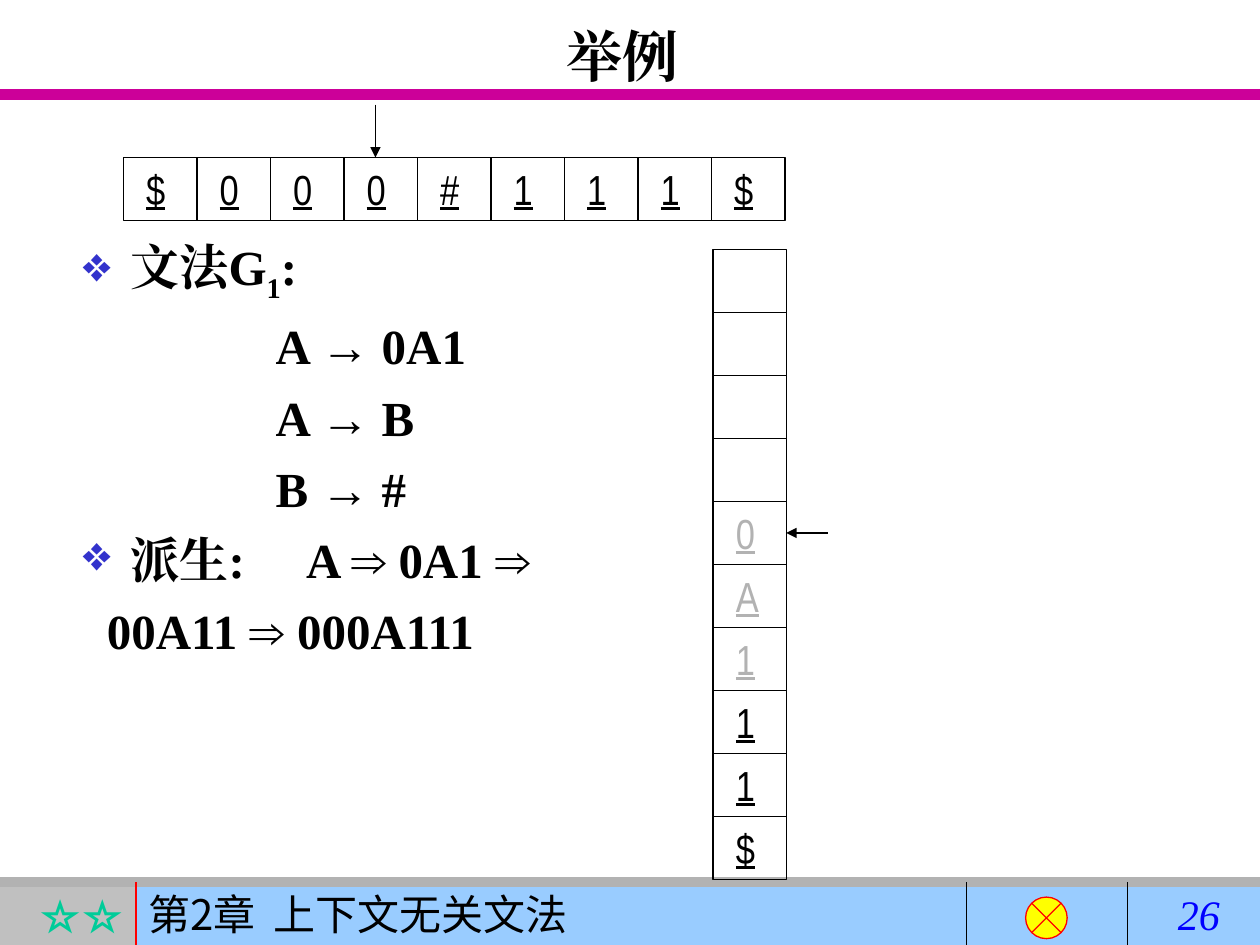
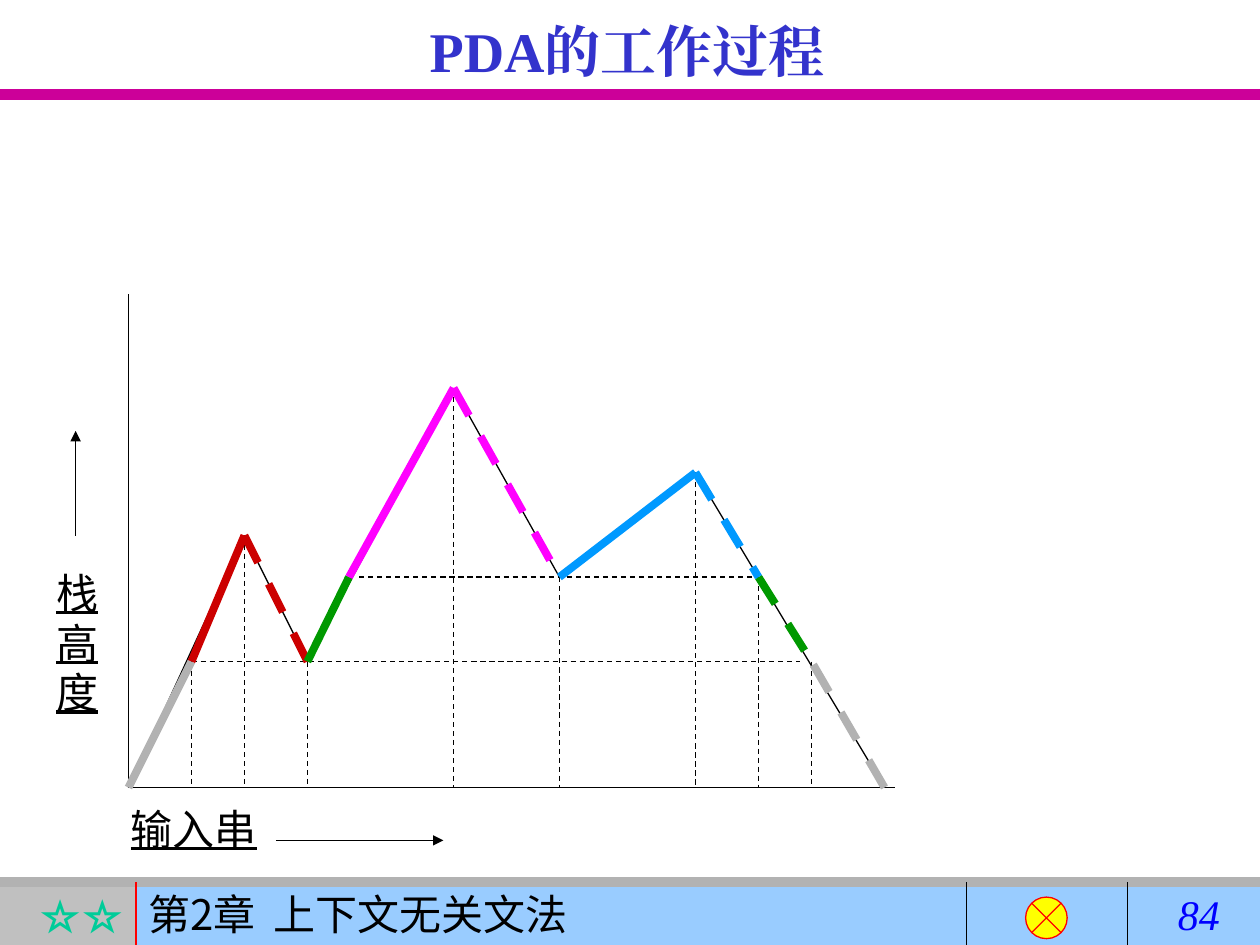
from collections import namedtuple

from lxml import etree
from pptx import Presentation
from pptx.dml.color import RGBColor
from pptx.enum.dml import MSO_LINE
from pptx.enum.shapes import MSO_CONNECTOR, MSO_SHAPE
from pptx.enum.text import MSO_ANCHOR, MSO_AUTO_SIZE, PP_ALIGN
from pptx.oxml.ns import qn
from pptx.util import Inches, Pt

STRAIGHT = MSO_CONNECTOR.STRAIGHT
RECTANGLE, JUNCTION = MSO_SHAPE.RECTANGLE, MSO_SHAPE.FLOWCHART_SUMMING_JUNCTION
TOP, MIDDLE = MSO_ANCHOR.TOP, MSO_ANCHOR.MIDDLE
LEFT, CENTER, RIGHT = PP_ALIGN.LEFT, PP_ALIGN.CENTER, PP_ALIGN.RIGHT
NO_AUTOFIT = MSO_AUTO_SIZE.NONE
DASH = MSO_LINE.DASH
TITLE_ONLY = 5
RIGHT_SIDE = 3

Box = namedtuple("Box", "left top width height")


class Theme:
    serif, narrow, symbol, cjk = "Times New Roman", "Arial Narrow", "Arial", "Noto Sans CJK SC"
    title_size, body_size, label_size = 32, 28, 24
    thin, curve, band = 0.75, 4.5, 6
    black, gray, red, yellow = "000000", "B2B2B2", "FF0000", "FFFF00"
    magenta, indigo, page_blue = "CC0099", "3333CC", "0000FF"
    star_bg, star, chapter_bg = "C0C0C0", "00CC99", "99CCFF"
    crimson, green, sky, pink = "CC0000", "009900", "0099FF", "FF00FF"


# ---- Shared helpers ----
def rgb(code):
    return RGBColor.from_string(code)


def add_run(paragraph, text, face, size, color=Theme.black, bold=False, italic=False,
            underline=False, baseline=None, spread=None):
    run = paragraph.add_run()
    run.text = text
    font = run.font
    font.name, font.size, font.color.rgb = face, Pt(size), rgb(color)
    font.bold, font.italic, font.underline = bold, italic, underline
    properties = font._element
    etree.SubElement(properties, qn("a:ea")).set("typeface", face)
    if baseline is not None:
        properties.set("baseline", str(baseline * 1000))
    if spread is not None:
        properties.set("spc", str(spread * 100))


def setup_frame(frame, anchor=MIDDLE, inset=0.1):
    frame.word_wrap = True
    frame.auto_size = NO_AUTOFIT
    frame.vertical_anchor = anchor
    frame.margin_left, frame.margin_right = Inches(inset), Inches(0.1)
    frame.margin_top = frame.margin_bottom = Inches(0.05)
    return frame


def add_panel(slide, box, fill=None, line=None, kind=RECTANGLE):
    panel = slide.shapes.add_shape(kind, *map(Inches, box))
    panel.shadow.inherit = False
    if fill:
        panel.fill.solid()
        panel.fill.fore_color.rgb = rgb(fill)
    else:
        panel.fill.background()
    if line:
        panel.line.color.rgb = rgb(line)
        panel.line.width = Pt(Theme.thin)
    else:
        panel.line.fill.background()
    return panel


def add_text(slide, box, anchor=MIDDLE):
    label = slide.shapes.add_textbox(*map(Inches, box))
    return setup_frame(label.text_frame, anchor)


def add_line(slide, start, end, color=Theme.black, width=Theme.thin, dashed=False, arrow=False):
    line = slide.shapes.add_connector(STRAIGHT, *map(Inches, (*start, *end)))
    line.line.color.rgb = rgb(color)
    line.line.width = Pt(width)
    if dashed:
        line.line.dash_style = DASH
    if arrow:
        etree.SubElement(line.line._get_or_add_ln(), qn("a:tailEnd")).set("type", "triangle")
    etree.SubElement(line._element.spPr, qn("a:effectLst"))
    return line


# ---- Title and footer shared by both slides ----
def add_title(slide, box, text, color):
    title = slide.shapes.title
    title.left, title.top, title.width, title.height = map(Inches, box)
    paragraph = setup_frame(title.text_frame, TOP).paragraphs[0]
    paragraph.alignment = CENTER
    add_run(paragraph, text, Theme.serif, Theme.title_size, color, bold=True)


def add_footer(slide, box, page):
    left, top, width, height = box
    bottom, split = top + height, left + 1.08

    stars = add_panel(slide, (left, top, 1.08, height), Theme.star_bg)
    paragraph = setup_frame(stars.text_frame).paragraphs[0]
    paragraph.alignment = RIGHT
    add_run(paragraph, "☆☆", Theme.serif, Theme.label_size, Theme.star, bold=True)

    chapter = add_panel(slide, (split, top, width - 1.08, height), Theme.chapter_bg)
    paragraph = setup_frame(chapter.text_frame).paragraphs[0]
    paragraph.alignment = LEFT
    for text, spread in (("第2章", None), (" ", 5), ("上下文无关文法", None)):
        add_run(paragraph, text, Theme.cjk, Theme.label_size, spread=spread)

    add_line(slide, (left, top), (left + width, top), Theme.gray, Theme.band)
    for x, color in ((split, Theme.red), (left + 7.67, Theme.black), (left + 8.95, Theme.black)):
        add_line(slide, (x, top), (x, bottom), color)
    add_panel(slide, (left + 8.14, top + 0.12, 0.33, 0.33), Theme.yellow, Theme.red, JUNCTION)
    number = add_text(slide, (left + 9.25, top, 0.75, height)).paragraphs[0]
    add_run(number, page, Theme.serif, Theme.label_size, Theme.page_blue, italic=True)


def new_slide(deck, title, title_box, title_color, page):
    slide = deck.slides.add_slide(deck.slide_layouts[TITLE_ONLY])
    add_line(slide, (0, 0.75), (10, 0.75), Theme.magenta, Theme.band)
    add_footer(slide, Box(0, 7, 10, 0.5), page)
    add_title(slide, title_box, title, title_color)
    return slide


# ---- Grammar example: tape, productions, stack ----
def add_cell(slide, box, symbol, color=Theme.black):
    cell = add_panel(slide, box, line=Theme.black)
    if symbol:
        paragraph = setup_frame(cell.text_frame, inset=0.18).paragraphs[0]
        paragraph.alignment = LEFT
        add_run(paragraph, symbol, Theme.narrow, Theme.label_size, color, underline=True)
    return cell


def add_tape(slide, box, symbols):
    step = box.width / len(symbols)
    for i, symbol in enumerate(symbols):
        add_cell(slide, (box.left + i * step, box.top, step, box.height), symbol)
    head = box.left + 2
    add_line(slide, (head, box.top - 0.42), (head, box.top), arrow=True)


def add_stack(slide, box, symbols, pending, pointer):
    step = box.height / len(symbols)
    for i, symbol in enumerate(symbols):
        color = Theme.gray if i in pending else Theme.black
        top = box.top + i * step
        cell = add_cell(slide, (box.left, top, box.width, step), symbol, color)
        if i == pointer:
            right, middle = box.left + box.width, top + step / 2
            arrow = add_line(slide, (right + 0.33, middle), (right, middle), arrow=True)
            arrow.end_connect(cell, RIGHT_SIDE)


def set_indent(paragraph, margin, bullet):
    properties = paragraph._p.get_or_add_pPr()
    properties.set("marL", str(Inches(margin)))
    properties.set("indent", str(-Inches(margin) if bullet else 0))
    if bullet:
        color = etree.SubElement(properties, qn("a:buClr"))
        etree.SubElement(color, qn("a:srgbClr")).set("val", Theme.indigo)
        etree.SubElement(properties, qn("a:buChar")).set("char", "❖")


def add_grammar(slide, box):
    arrow, derives = ("→", {"face": Theme.symbol}), ("⇒", {"face": Theme.symbol})
    wide_gap = (" ", {"spread": 28})
    # Left margin, bullet, runs
    lines = [
        (0.38, True, ["文法G", ("1", {"baseline": -25}), ":"]),
        (1.53, False, ["A ", arrow, " 0A1"]),
        (1.53, False, ["A ", arrow, " B"]),
        (1.53, False, ["B ", arrow, " #"]),
        (0.38, True, ["派生:", wide_gap, "A ", derives, " 0A1 ", derives]),
        (0.19, False, ["00A11 ", derives, " 000A111"]),
    ]
    frame = add_text(slide, box, TOP)
    for i, (margin, bullet, runs) in enumerate(lines):
        paragraph = frame.add_paragraph() if i else frame.paragraphs[0]
        set_indent(paragraph, margin, bullet)
        if i:
            paragraph.space_before = Pt(7)
        for part in runs:
            text, style = (part, {}) if isinstance(part, str) else part
            add_run(paragraph, text, **{"face": Theme.serif, "size": Theme.body_size,
                                        "bold": True, **style})


def build_example(deck):
    slide = new_slide(deck, "举例", Box(0.69, 0.12, 8.5, 1.25), Theme.black, "26")
    add_grammar(slide, Box(0.56, 1.83, 4.92, 5.08))
    add_tape(slide, Box(0.98, 1.25, 5.25, 0.5), "$000#111$")
    add_stack(slide, Box(5.66, 1.98, 0.58, 5), [""] * 4 + list("0A111$"),
              pending=(4, 5, 6), pointer=4)


# ---- PDA run: stack height against input ----
def add_height_graph(slide, box):
    base = box.top + box.height
    # Offset along the input and stack height of each turning point
    track = [(0, 0), (0.5, 1), (0.92, 2), (1.42, 1), (1.75, 1.67), (2.58, 3.17),
             (3.42, 1.67), (4.5, 2.5), (5, 1.67), (5.42, 1), (6, 0)]

    def at(offset, height):
        return box.left + offset, base - height

    # Axes
    add_line(slide, at(0, 0), at(box.width, 0))
    add_line(slide, at(0, 0), at(0, box.height))

    # Thin outline
    corners = [track[i] for i in (0, 2, 3, 5, 6, 7, 10)]
    for start, end in zip(corners, corners[1:]):
        add_line(slide, at(*start), at(*end))

    # Drop lines and levels
    for i in (1, 2, 3, 5, 6, 7, 8, 9):
        offset, height = track[i]
        add_line(slide, at(offset, height), at(offset, 0), dashed=True)
    for height, first, last in ((1, 0.5, 5.33), (1.67, 1.83, 5)):
        add_line(slide, at(first, height), at(last, height), dashed=True)

    # Pushes are solid, pops are dashed
    segments = [
        (1, 0, Theme.gray, False), (10, 9, Theme.gray, True),
        (2, 1, Theme.crimson, False), (3, 2, Theme.crimson, True),
        (4, 3, Theme.green, False), (8, 9, Theme.green, True),
        (7, 8, Theme.sky, True), (7, 6, Theme.sky, False),
        (5, 6, Theme.pink, True), (5, 4, Theme.pink, False),
    ]
    for start, end, color, dashed in segments:
        add_line(slide, at(*track[start]), at(*track[end]), color, Theme.curve, dashed)

    # Axis labels and direction arrows
    labels = [("输入串", (box.left - 0.08, base + 0.08, 1.42, 0.5)),
              ("栈高度", (box.left - 0.67, base - 1.8, 0.5, 1.3))]
    for text, place in labels:
        paragraph = add_text(slide, place).paragraphs[0]
        paragraph.line_spacing = Pt(28.5)
        add_run(paragraph, text, Theme.narrow, Theme.label_size, underline=True)
    add_line(slide, at(1.17, -0.42), at(2.5, -0.42), arrow=True)
    add_line(slide, at(-0.42, 2), at(-0.42, 2.83), arrow=True)


def build_pda_run(deck):
    slide = new_slide(deck, "PDA的工作过程", Box(0.48, 0.08, 9, 1.25), Theme.indigo, "84")
    add_height_graph(slide, Box(1.02, 2.33, 6.08, 3.92))


def main():
    deck = Presentation()
    deck.slide_width, deck.slide_height = Inches(10), Inches(7.5)
    build_example(deck)
    build_pda_run(deck)
    deck.save("out.pptx")


if __name__ == "__main__":
    main()
